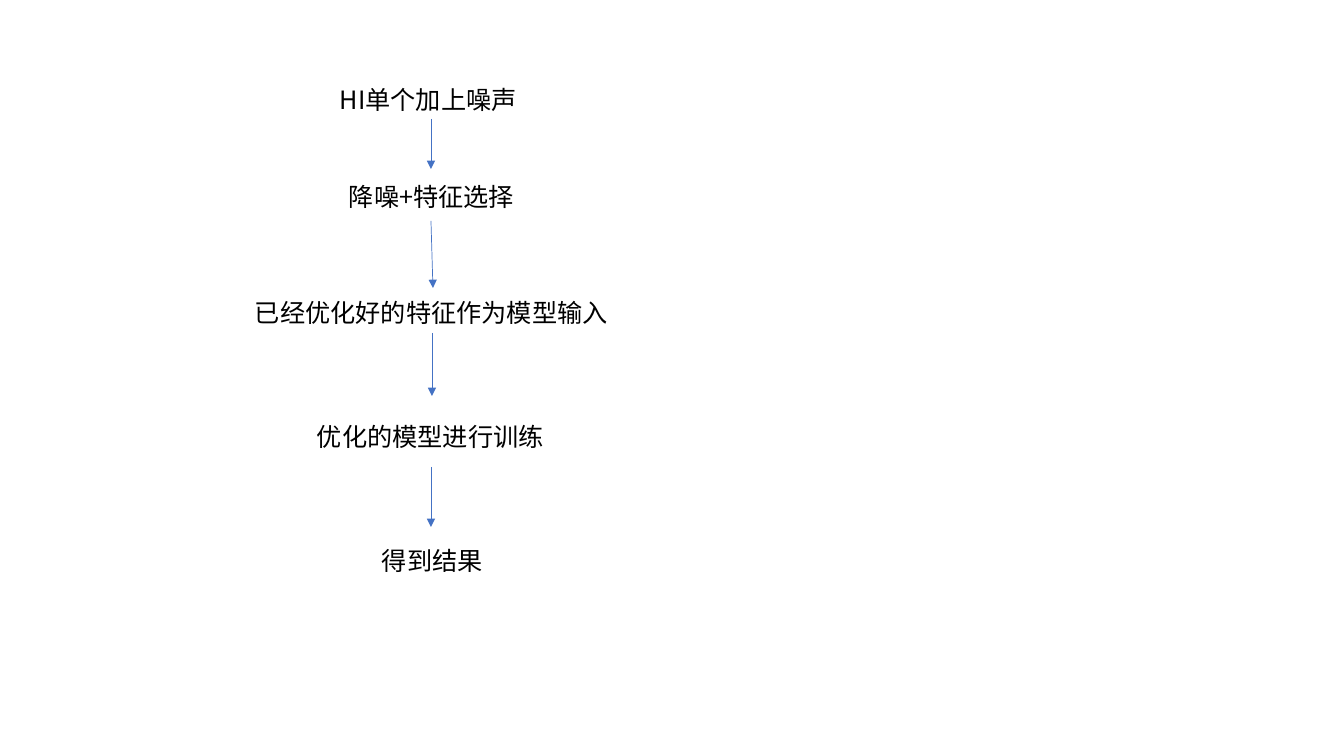
"""Build a one-slide flow of five training steps joined by arrows."""
from lxml import etree
from pptx import Presentation
from pptx.dml.color import RGBColor
from pptx.enum.shapes import MSO_CONNECTOR
from pptx.enum.text import MSO_AUTO_SIZE
from pptx.oxml.ns import qn
from pptx.util import Pt

STEPS = [
    ("HI单个加上噪声", 330, 79, 205),
    ("降噪+特征选择", 339, 176, 190),
    ("已经优化好的特征作为模型输入", 245, 292, 377),
    ("优化的模型进行训练", 307, 416, 249),
    ("得到结果", 372, 540, 122),
]
ARROWS = [
    (431, 119, 431, 169),
    (431, 221, 433, 288),
    (432, 333, 432, 396),
    (431, 467, 431, 527),
]
COLORS = {"text": "000000", "arrow": "4472C4"}
FONT = "Noto Sans CJK SC"
STEP_HEIGHT = 40
SLIDE_SIZE = (1344, 756)
EMU_PER_PX = 914400 / 100.8
BLANK_LAYOUT = 6
STRAIGHT = MSO_CONNECTOR.STRAIGHT
FIT_SHAPE = MSO_AUTO_SIZE.SHAPE_TO_FIT_TEXT


def emu(*lengths):
    return [round(length * EMU_PER_PX) for length in lengths]


def add_step(slide, text, left, top, width):
    shape = slide.shapes.add_textbox(*emu(left, top, width, STEP_HEIGHT))
    frame = shape.text_frame
    frame.word_wrap = True
    frame.auto_size = FIT_SHAPE
    run = frame.paragraphs[0].add_run()
    run.text = text
    font = run.font
    font.size = Pt(18)
    font.name = FONT
    font.color.rgb = RGBColor.from_string(COLORS["text"])
    etree.SubElement(run._r.get_or_add_rPr(), qn("a:ea"), typeface=FONT)


def add_arrow(slide, *ends):
    connector = slide.shapes.add_connector(STRAIGHT, *emu(*ends))
    connector.line.color.rgb = RGBColor.from_string(COLORS["arrow"])
    connector.line.width = Pt(0.5)
    etree.SubElement(connector.line._get_or_add_ln(), qn("a:tailEnd"), type="triangle")
    etree.SubElement(connector._element.spPr, qn("a:effectLst"))


def main():
    presentation = Presentation()
    presentation.slide_width, presentation.slide_height = emu(*SLIDE_SIZE)
    slide = presentation.slides.add_slide(presentation.slide_layouts[BLANK_LAYOUT])
    for step in STEPS:
        add_step(slide, *step)
    for arrow in ARROWS:
        add_arrow(slide, *arrow)
    presentation.save("out.pptx")


if __name__ == "__main__":
    main()
